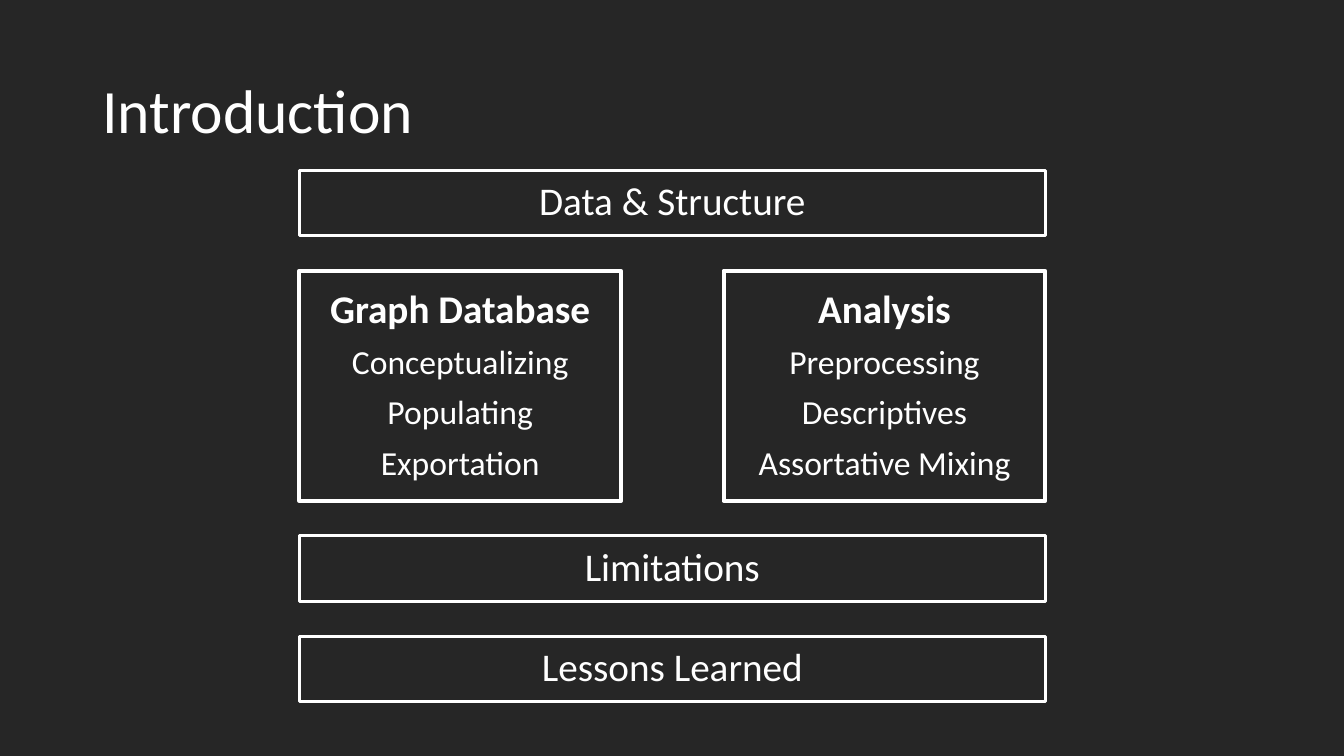
from pptx import Presentation
from pptx.dml.color import RGBColor
from pptx.enum.shapes import MSO_SHAPE
from pptx.enum.text import MSO_ANCHOR, PP_ALIGN
from pptx.util import Pt

TITLE = "Introduction"
# Each row holds boxes; each box holds a heading and its topics.
ROWS = [
    [("Data & Structure", [])],
    [
        ("Graph Database", ["Conceptualizing", "Populating", "Exportation"]),
        ("Analysis", ["Preprocessing", "Descriptives", "Assortative Mixing"]),
    ],
    [("Limitations", [])],
    [("Lessons Learned", [])],
]

COLORS = {"background": "262626", "white": "FFFFFF"}
FONT = "Calibri"
LEFT, TOP, WIDTH = 213.84, 121.7, 532.8
ROW_GAP = 25
BAR_HEIGHT = 46.8
CARD_WIDTH, CARD_HEIGHT = 229.7, 164.3


def color(name):
    return RGBColor.from_string(COLORS[name])


def write(frame, text, first=False, size=28, bold=False,
          align=PP_ALIGN.CENTER, before=10):
    para = frame.paragraphs[0] if first else frame.add_paragraph()
    para.alignment = align
    para.line_spacing = 0.9
    para.space_before = Pt(before)
    span = para.add_run()
    span.text = text
    span.font.name = FONT
    span.font.size = Pt(size)
    span.font.bold = bold
    span.font.color.rgb = color("white")


def add_box(page, left, top, width, height, heading, topics):
    box = page.shapes.add_shape(
        MSO_SHAPE.RECTANGLE, Pt(left), Pt(top), Pt(width), Pt(height))
    box.shadow.inherit = False
    if topics:
        box.fill.solid()
        box.fill.fore_color.rgb = color("background")
    else:
        box.fill.background()
    box.line.color.rgb = color("white")
    box.line.width = Pt(3 if topics else 2.25)
    frame = box.text_frame
    frame.word_wrap = True
    frame.vertical_anchor = MSO_ANCHOR.MIDDLE
    write(frame, heading, first=True, bold=bool(topics))
    for topic in topics:
        write(frame, topic, size=24)


def add_title(page):
    box = page.shapes.add_textbox(Pt(66), Pt(28.75), Pt(828), Pt(104.4))
    frame = box.text_frame
    frame.word_wrap = True
    frame.vertical_anchor = MSO_ANCHOR.MIDDLE
    write(frame, TITLE, first=True, size=44, align=PP_ALIGN.LEFT, before=0)


def main():
    deck = Presentation()
    deck.slide_width, deck.slide_height = Pt(960), Pt(540)
    page = deck.slides.add_slide(deck.slide_layouts[6])
    page.background.fill.solid()
    page.background.fill.fore_color.rgb = color("background")
    add_title(page)

    top = TOP
    for row in ROWS:
        is_bar = len(row) == 1
        width = WIDTH if is_bar else CARD_WIDTH
        height = BAR_HEIGHT if is_bar else CARD_HEIGHT
        for column, (heading, topics) in enumerate(row):
            left = LEFT + column * (WIDTH - width)
            add_box(page, left, top, width, height, heading, topics)
        top += height + ROW_GAP

    deck.save("out.pptx")


if __name__ == "__main__":
    main()
